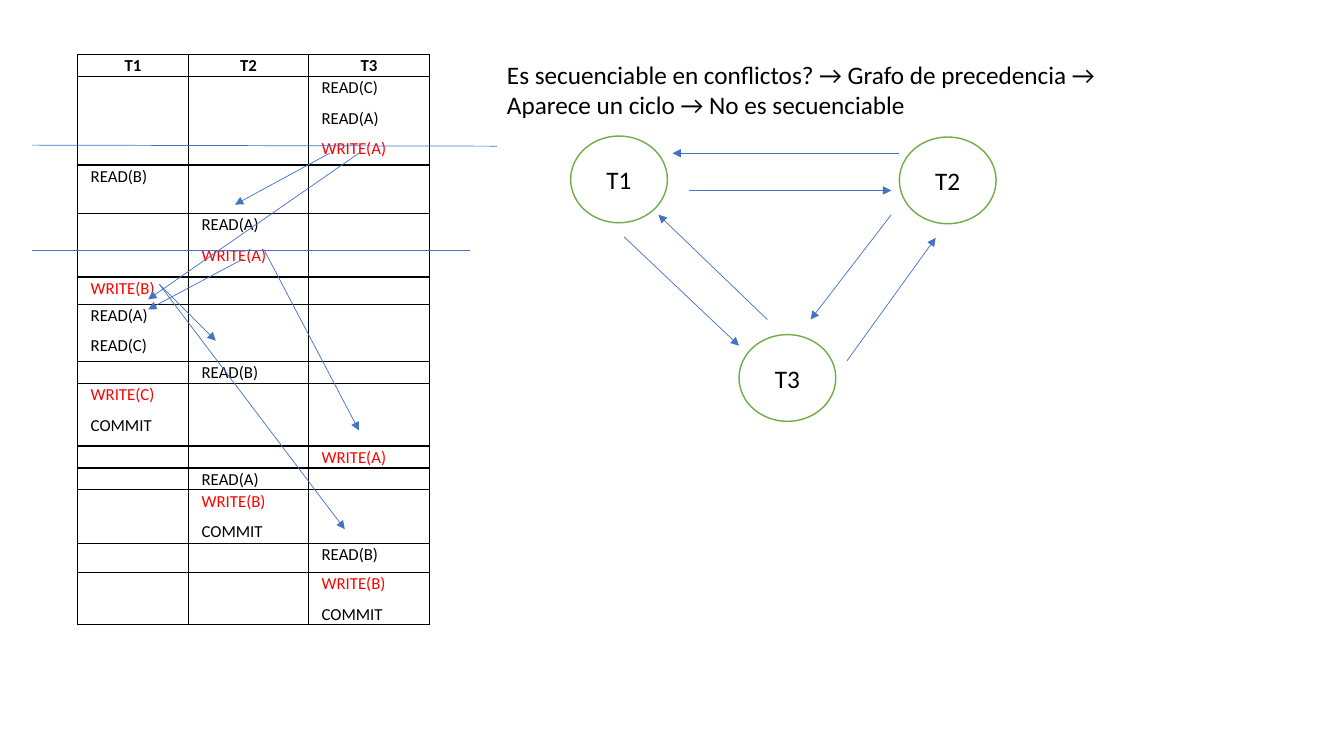
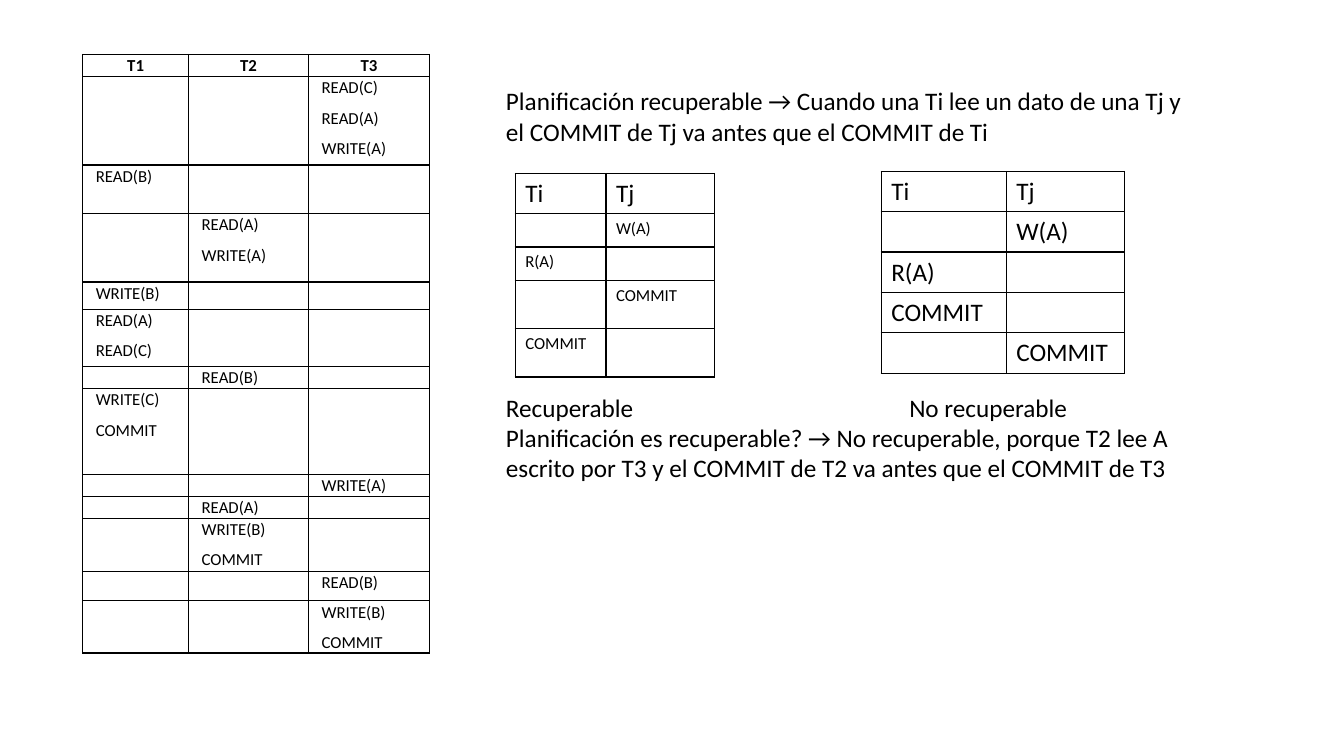
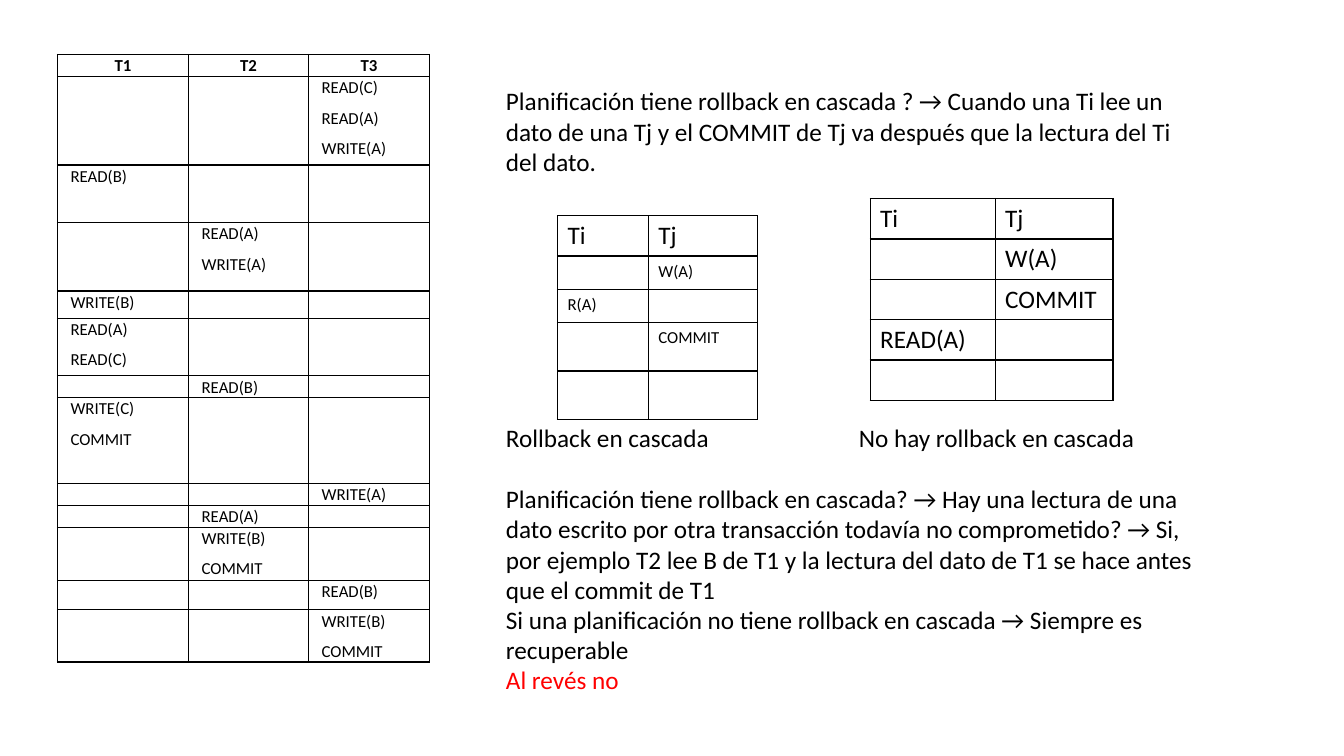
from lxml.etree import SubElement
from pptx import Presentation
from pptx.dml.color import RGBColor
from pptx.enum.shapes import MSO_CONNECTOR, MSO_SHAPE
from pptx.enum.text import MSO_ANCHOR, MSO_AUTO_SIZE, PP_ALIGN
from pptx.oxml.ns import qn
from pptx.util import Inches, Pt

FONT = "Calibri"
BLACK, WHITE, RED = "000000", "FFFFFF", "FF0000"
BLUE, GREEN = "4472C4", "70AD47"
BODY_SIZE, SMALL_SIZE = 18, 12
BODY_LINE = 21.97  # height in points of one line of body text

# Each step of the schedule: column of the transaction, its operations
STEPS = [
    (2, ["READ(C)", "READ(A)", "WRITE(A)"]),
    (0, ["READ(B)"]),
    (1, ["READ(A)", "WRITE(A)"]),
    (0, ["WRITE(B)"]),
    (0, ["READ(A)", "READ(C)"]),
    (1, ["READ(B)"]),
    (0, ["WRITE(C)", "COMMIT"]),
    (2, ["WRITE(A)"]),
    (1, ["READ(A)"]),
    (1, ["WRITE(B)", "COMMIT"]),
    (2, ["READ(B)"]),
    (2, ["WRITE(B)", "COMMIT"]),
]
STEP_HEIGHTS = [0.2, 0.88, 0.48, 0.68, 0.27, 0.57, 0.2, 0.85, 0.2, 0.2, 0.53, 0.29, 0.49]

COMPACT = {"widths": [0.9, 1.08], "heights": [0.37, 0.33, 0.33, 0.48, 0.48], "size": SMALL_SIZE}
LARGE = {"widths": [1.24, 1.17], "heights": [0.4] * 5, "size": BODY_SIZE}


def color(value):
    return RGBColor.from_string(value)


def style_text(para, size, ink=BLACK, bold=False):
    for span in para.runs:
        span.font.name = FONT
        span.font.size = Pt(size)
        span.font.bold = bold
        span.font.color.rgb = color(ink)
    if not para.runs:  # an empty cell still takes its row height from this size
        SubElement(para._p, qn("a:endParaRPr"), sz=str(size * 100))


def add_borders(cell):
    properties = cell._tc.get_or_add_tcPr()
    for side in ("a:lnL", "a:lnR", "a:lnT", "a:lnB"):
        line = SubElement(properties, qn(side), w=str(Pt(1)))
        fill = SubElement(line, qn("a:solidFill"))
        SubElement(fill, qn("a:srgbClr"), val=BLACK)


def add_grid(page, left, top, widths, heights):
    """Add an unfilled table with black borders and return it."""
    frame = page.shapes.add_table(len(heights), len(widths), Inches(left), Inches(top),
                                  Inches(sum(widths)), Inches(sum(heights)))
    table = frame.table
    table.first_row = table.horz_banding = False
    for column, width in zip(table.columns, widths):
        column.width = Inches(width)
    for row, height in zip(table.rows, heights):
        row.height = Inches(height)
    for cell in table.iter_cells():
        add_borders(cell)
        cell.fill.background()
    return table


def add_schedule(page, left, first_width, changed_heights=None, write_ink=BLACK):
    heights = list(STEP_HEIGHTS)
    for row, height in (changed_heights or {}).items():
        heights[row] = height
    table = add_grid(page, left, 0.54, [first_width, 1.19, 1.2], heights)
    for column in range(3):
        table.cell(0, column).text_frame.text = f"T{column + 1}"
    for row, (column, operations) in enumerate(STEPS, 1):
        table.cell(row, column).text_frame.text = "\n".join(operations)
    for index, cell in enumerate(table.iter_cells()):
        header = index < 3
        cell.margin_left = cell.margin_right = Inches(0.13)
        cell.margin_top = cell.margin_bottom = 0
        for para in cell.text_frame.paragraphs:
            para.alignment = PP_ALIGN.CENTER if header else PP_ALIGN.JUSTIFY
            para.line_spacing = 1.07
            para.space_before = para.space_after = Pt(3)
            ink = write_ink if para.text.startswith("WRITE") else BLACK
            style_text(para, SMALL_SIZE, ink, header)


def add_example(page, left, top, layout, rows):
    """Add a two-transaction table under the heads Ti and Tj."""
    table = add_grid(page, left, top, layout["widths"], layout["heights"])
    for row, texts in enumerate([("Ti", "Tj"), *rows]):
        for column, text in enumerate(texts):
            frame = table.cell(row, column).text_frame
            frame.text = text
            style_text(frame.paragraphs[0], layout["size"] if row else BODY_SIZE)


def add_text(page, left, top, width, height, texts, gaps=None, tab=None, inks=None):
    """Add body text; gaps maps a paragraph to the lines left free above it."""
    box = page.shapes.add_textbox(Inches(left), Inches(top), Inches(width), Inches(height))
    frame = box.text_frame
    frame.word_wrap = True
    frame.auto_size = MSO_AUTO_SIZE.SHAPE_TO_FIT_TEXT
    frame.text = "\n".join(texts)
    for index, para in enumerate(frame.paragraphs):
        style_text(para, BODY_SIZE, (inks or {}).get(index, BLACK))
        if gaps and index in gaps:
            para.space_before = Pt(gaps[index] * BODY_LINE)
        if "\t" in para.text:
            stops = SubElement(para._p.get_or_add_pPr(), qn("a:tabLst"))
            SubElement(stops, qn("a:tab"), pos=str(Inches(tab)), algn="l")


def add_node(page, left, top, name):
    node = page.shapes.add_shape(MSO_SHAPE.OVAL, Inches(left), Inches(top),
                                 Inches(0.96), Inches(0.86))
    node.shadow.inherit = False
    node.fill.solid()
    node.fill.fore_color.rgb = color(WHITE)
    node.line.color.rgb = color(GREEN)
    node.line.width = Pt(1)
    frame = node.text_frame
    frame.vertical_anchor = MSO_ANCHOR.MIDDLE
    frame.text = name
    frame.paragraphs[0].alignment = PP_ALIGN.CENTER
    style_text(frame.paragraphs[0], BODY_SIZE)


def add_line(page, ends, arrow=False):
    line = page.shapes.add_connector(MSO_CONNECTOR.STRAIGHT, *(Inches(end) for end in ends))
    line.line.color.rgb = color(BLUE)
    line.line.width = Pt(0.5)
    if arrow:
        SubElement(line.line._get_or_add_ln(), qn("a:tailEnd"), type="triangle")
    SubElement(line._element.spPr, qn("a:effectLst"))


def build_conflicts(page):
    add_schedule(page, 0.77, 1.1, {3: 0.63, 7: 0.62}, RED)
    add_text(page, 4.93, 0.54, 6.92, 0.71, [
        "Es secuenciable en conflictos? → Grafo de precedencia → "
        "Aparece un ciclo → No es secuenciable"])
    for left, top, name in [(5.66, 1.35, "T1"), (8.92, 1.36, "T2"), (7.33, 3.32, "T3")]:
        add_node(page, left, top, name)
    for separator in [(0.32, 1.44, 4.93, 1.45), (0.32, 2.48, 4.66, 2.48)]:
        add_line(page, separator)
    schedule_conflicts = [
        (3.27, 1.52, 2.33, 2.03), (3.56, 1.52, 1.47, 2.97), (2.41, 2.57, 1.47, 3.07),
        (2.62, 2.48, 3.56, 4.27), (1.58, 2.82, 2.14, 3.38), (1.58, 2.82, 3.42, 5.25),
    ]
    graph_edges = [
        (8.4, 3.58, 9.28, 2.36), (7.61, 3.17, 6.53, 2.13), (8.92, 1.52, 6.67, 1.52),
        (8.84, 2.13, 8.04, 3.17), (6.83, 1.89, 8.84, 1.89), (6.19, 2.35, 7.33, 3.43),
    ]
    for ends in schedule_conflicts + graph_edges:
        add_line(page, ends, arrow=True)


def build_recoverable(page):
    add_schedule(page, 0.82, 1.05)
    add_text(page, 4.92, 0.8, 7.03, 4.04, [
        "Planificación recuperable → Cuando una Ti lee un dato de una Tj y el COMMIT de Tj "
        "va antes que el COMMIT de Ti",
        "Recuperable\tNo recuperable",
        "Planificación es recuperable? → No recuperable, porque T2 lee A escrito por T3 "
        "y el COMMIT de T2 va antes que el COMMIT de T3",
    ], gaps={1: 8}, tab=4)
    add_example(page, 5.11, 1.72, COMPACT,
                [("", "W(A)"), ("R(A)", ""), ("", "COMMIT"), ("COMMIT", "")])
    add_example(page, 8.74, 1.7, LARGE,
                [("", "W(A)"), ("R(A)", ""), ("COMMIT", ""), ("", "COMMIT")])


def build_cascade(page):
    add_schedule(page, 0.57, 1.3, {2: 0.57})
    add_text(page, 4.92, 0.8, 7.03, 6.16, [
        "Planificación tiene rollback en cascada ? → Cuando una Ti lee un dato de una Tj "
        "y el COMMIT de Tj va después que la lectura del Ti del dato.",
        "Rollback en cascada\tNo hay rollback en cascada",
        "Planificación tiene rollback en cascada? → Hay una lectura de una dato escrito por "
        "otra transacción todavía no comprometido? → Si, por ejemplo T2 lee B de T1 y la "
        "lectura del dato de T1 se hace antes que el commit de T1",
        "Si una planificación no tiene rollback en cascada → Siempre es recuperable",
        "Al revés no",
    ], gaps={1: 8, 2: 1}, tab=3.5, inks={4: RED})
    add_example(page, 5.53, 2.14, COMPACT,
                [("", "W(A)"), ("R(A)", ""), ("", "COMMIT"), ("", "")])
    add_example(page, 8.63, 1.97, LARGE,
                [("", "W(A)"), ("", "COMMIT"), ("READ(A)", ""), ("", "")])


def main():
    deck = Presentation()
    deck.slide_width, deck.slide_height = Inches(13.33), Inches(7.5)
    for build in (build_conflicts, build_recoverable, build_cascade):
        build(deck.slides.add_slide(deck.slide_layouts[6]))
    deck.save("out.pptx")


if __name__ == "__main__":
    main()
